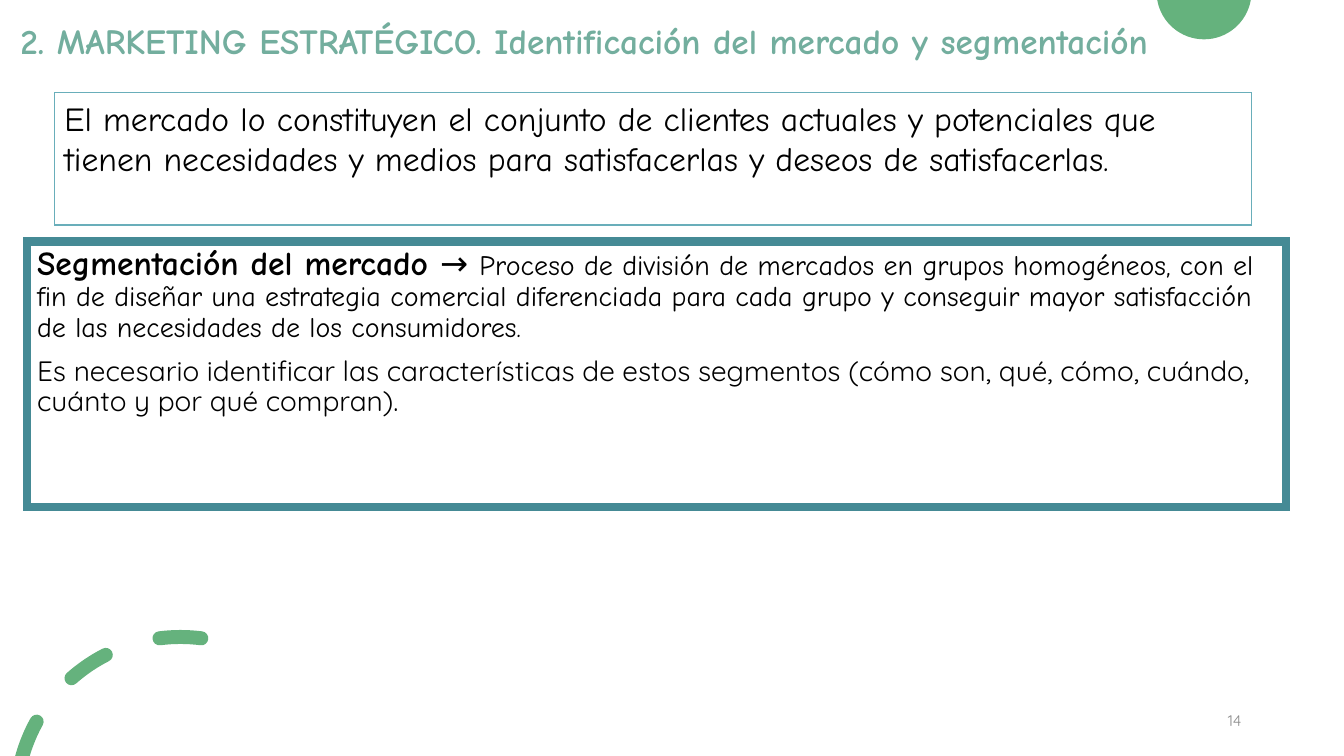
import math
from pptx import Presentation
from pptx import util as u
from pptx.dml.color import RGBColor
from pptx.enum import shapes, text
from pptx.oxml import ns
from lxml import etree

COMIC, QUICK = "Comic Neue", "Quicksand"
GREEN, BLACK = "65B27D", "000000"
LEFT, RIGHT = text.PP_ALIGN.LEFT, text.PP_ALIGN.RIGHT
TOP, MIDDLE = text.MSO_ANCHOR.TOP, text.MSO_ANCHOR.MIDDLE

# A paragraph is a list of runs: (text, font format, colour)
BODY = {"name": COMIC, "size": u.Pt(24), "bold": False}
TITLE = [[("2. MARKETING ESTRATÉGICO. Identificación del mercado y segmentación",
           {**BODY, "size": u.Pt(25.2), "bold": True}, "73AE9E")]]
MARKET = [[("El mercado lo constituyen el conjunto de clientes actuales y potenciales "
            "que tienen necesidades y medios para satisfacerlas y deseos de "
            "satisfacerlas.", BODY, BLACK)]]
SEGMENTATION = [
    [("Segmentación del mercado ", {**BODY, "bold": True}, BLACK),
     ("→ ", BODY, BLACK),
     ("Proceso de división de mercados en grupos homogéneos, con el fin de diseñar "
      "una estrategia comercial diferenciada para cada grupo y conseguir mayor "
      "satisfacción de las necesidades de los consumidores.",
      {**BODY, "size": u.Pt(20)}, BLACK)],
    [("Es necesario identificar las características de estos segmentos (cómo son, "
      "qué, cómo, cuándo, cuánto y por qué compran).",
      {"name": QUICK, "size": u.Pt(20), "bold": False}, BLACK)],
]
NUMBER = [[("14", {"name": QUICK, "size": u.Pt(11)}, "8C8C8C")]]

# Frames: box, fill, line colour, line width, paragraphs, line spacing
FRAMES = [
    ((38.9, 66.2, 855, 94.5), "FFFFFF", "69AEBA", 1, MARKET, 1.0),
    ((19.4, 172.4, 899.2, 189.6), None, "458A95", 6, SEGMENTATION, 0.9),
]

WIDTH, HEIGHT = 960, 540
DISC_X, DISC_Y, DISC_R = 860, -5.8, 33.9
RING_X, RING_Y, RING_R, HALF = 128.9, 572.4, 117.4, 5
DASHES = [(-7.3, 7.3), (27, 41.5), (61, 90)]  # degrees left of the top


def rgb(code):
    return RGBColor.from_string(code)


def write(sp, paragraphs, anchor=TOP, align=LEFT, spacing=1.0):
    tf = sp.text_frame
    for key, value in {"word_wrap": True, "auto_size": text.MSO_AUTO_SIZE.NONE,
                       "vertical_anchor": anchor}.items():
        setattr(tf, key, value)
    for i, runs in enumerate(paragraphs):
        p = tf.add_paragraph() if i else tf.paragraphs[0]
        p.alignment, p.line_spacing = align, spacing
        p.space_before = u.Pt(10 if i else 0)
        for words, style, colour in runs:
            r = p.add_run()
            r.text = words
            for key, value in style.items():
                setattr(r.font, key, value)
            r.font.color.rgb = rgb(colour)


def place(sp, box):
    for key, value in zip(("left", "top", "width", "height"), box):
        setattr(sp, key, u.Pt(value))


def arc(cx, cy, radius, start, end):
    """Four Bézier points of an arc, angles in degrees left of the top."""
    a, b = math.radians(start), math.radians(end)
    h = 4 / 3 * math.tan((b - a) / 4)

    def point(angle, pull):
        sin, cos = math.sin(angle), math.cos(angle)
        return cx - radius * (sin + pull * cos), cy - radius * (cos - pull * sin)

    return [point(a, 0), point(a, h), point(b, -h), point(b, 0)]


def half_turn(cx, cy, radius, start, end):
    middle = (start + end) / 2
    return [arc(cx, cy, radius, start, middle), arc(cx, cy, radius, middle, end)]


def dash(start, end):
    """Arcs of a round-ended piece of the ring, cut flat at the slide's bottom edge."""
    def stop(radius):
        return min(end, math.degrees(math.acos((RING_Y - HEIGHT) / radius)))

    outer, inner = RING_R + HALF, RING_R - HALF
    first, last = [arc(RING_X, RING_Y, RING_R, a, a)[0] for a in (start, end)]
    arcs = [arc(RING_X, RING_Y, outer, start, stop(outer))]
    if stop(outer) == end:
        arcs += half_turn(*last, HALF, end, end + 180)
    arcs.append(arc(RING_X, RING_Y, inner, stop(inner), start))
    return arcs + half_turn(*first, HALF, start + 180, start + 360)


def draw(sl, outlines):
    """Fill outlines made of arcs; a gap between two arcs becomes a straight line."""
    builder, curved = None, []
    for arcs in outlines:
        here = arcs[0][0]
        start = [u.Pt(v) for v in here]
        if builder:
            builder.move_to(*start)
        else:
            builder = sl.shapes.build_freeform(*start)
        points = []
        for a in arcs:
            if math.dist(here, a[0]) > 0.1:
                points.append(a[0])
                curved.append(False)
            points += a[1:]
            curved.append(True)
            here = a[3]
        builder.add_line_segments([(u.Pt(x), u.Pt(y)) for x, y in points], close=False)
    sp = builder.convert_to_shape()
    segments = iter(list(sp._element.iter(ns.qn("a:lnTo"))))
    for is_curve in curved:
        segment = next(segments)
        if is_curve:
            for _ in range(2):
                extra = next(segments)
                segment.append(extra[0])
                extra.getparent().remove(extra)
            segment.tag = ns.qn("a:cubicBezTo")
    sp.shadow.inherit = False
    sp.fill.solid()
    sp.fill.fore_color.rgb = rgb(GREEN)
    sp.line.fill.background()


def main():
    prs = Presentation()
    prs.slide_width, prs.slide_height = u.Pt(WIDTH), u.Pt(HEIGHT)
    sl = prs.slides.add_slide(prs.slide_layouts[5])

    edge = math.degrees(math.acos(DISC_Y / DISC_R))
    draw(sl, [half_turn(DISC_X, DISC_Y, DISC_R, edge, 360 - edge)])
    draw(sl, [dash(*angles) for angles in DASHES])

    number = sl.shapes.add_textbox(*map(u.Pt, (678, 500.4, 216, 28.8)))
    write(number, NUMBER, MIDDLE, RIGHT)

    title = sl.shapes.title
    place(title, (7.4, 13.5, 952.6, 41))
    write(title, TITLE, spacing=0.9)

    for box, fill, line, weight, paragraphs, spacing in FRAMES:
        sp = sl.shapes.add_shape(shapes.MSO_SHAPE.RECTANGLE, *map(u.Pt, box))
        sp.shadow.inherit = False
        if fill:
            sp.fill.solid()
            sp.fill.fore_color.rgb = rgb(fill)
        else:
            sp.fill.background()
        sp.line.color.rgb, sp.line.width = rgb(line), u.Pt(weight)
        ln = sp._element.spPr.find(ns.qn("a:ln"))
        etree.SubElement(ln, ns.qn("a:miter"), lim="800000")
        write(sp, paragraphs, spacing=spacing)

    prs.save("out.pptx")


if __name__ == "__main__":
    main()
